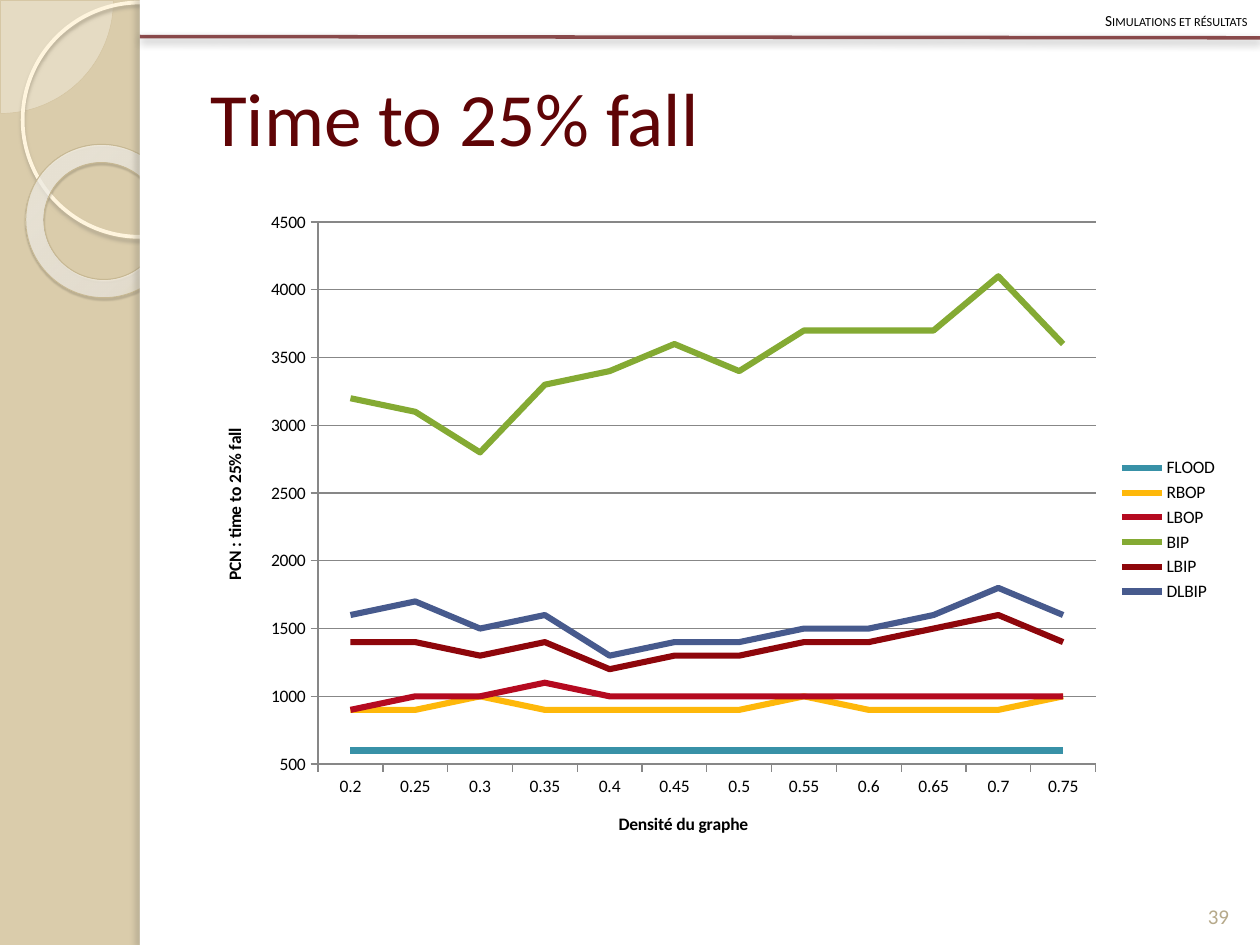
from typing import NamedTuple, Optional

from lxml import etree
from pptx import Presentation
from pptx import util as u
from pptx.chart.data import CategoryChartData
from pptx.dml.color import RGBColor
from pptx.enum import chart as charts, shapes, text
from pptx.oxml import parse_xml
from pptx.oxml.ns import qn

DRAWING = 'xmlns:a="http://schemas.openxmlformats.org/drawingml/2006/main"'
FONT = "Calibri"
GREY = "878787"
RING_STOPS = [(0, "FFFCF6", 70), (70, "FFFEFB", 55), (100, "F0D28E", 60)]


class Shadow(NamedTuple):
    color: str
    alpha: int
    blur: float
    distance: float
    angle: int


class Decoration(NamedTuple):
    kind: shapes.MSO_SHAPE
    box: tuple
    fill: Optional[str] = None
    line: Optional[str] = None
    width: float = 0
    shadow: Optional[Shadow] = None
    adjustments: tuple = ()
    rotation: float = 0


class Series(NamedTuple):
    name: str
    color: str
    values: list


PIE = Decoration(shapes.MSO_SHAPE.PIE, (-0.89, -0.89, 1.79, 1.79), "FEFAF4", "D3C39F", 0.25,
                 adjustments=(0, 54.02))
CIRCLE = Decoration(shapes.MSO_SHAPE.OVAL, (0.18, 0.02, 1.86, 1.86), None, "FFF5DE", 2.15,
                    Shadow("B0A68F", 85, 2, 2, 90))
RING = Decoration(shapes.MSO_SHAPE.DONUT, (0.2, 1.15, 1.23, 1.21), None, "C7B893", 0.58,
                  Shadow("5A5444", 35, 1, 1.2, 75), (0.12,), 38.6)
PAGE = Decoration(shapes.MSO_SHAPE.RECTANGLE, (1.11, 0, 8.89, 7.5), "FFFFFF")
EDGE = Decoration(shapes.MSO_SHAPE.RECTANGLE, (1.11, 0, 0.08, 7.5), "FFFFFF",
                  shadow=Shadow("736F63", 25, 3, 3, 180))

DENSITIES = ["0.2", "0.25", "0.3", "0.35", "0.4", "0.45",
             "0.5", "0.55", "0.6", "0.65", "0.7", "0.75"]
SERIES = [
    Series("FLOOD", "3891A7", [600] * len(DENSITIES)),
    Series("RBOP", "FEB80A", [900, 900, 1000, 900, 900, 900, 900, 1000, 900, 900, 900, 1000]),
    Series("LBOP", "B50A20", [900, 1000, 1000, 1100, 1000, 1000, 1000, 1000, 1000, 1000, 1000, 1000]),
    Series("BIP", "84AA33", [3200, 3100, 2800, 3300, 3400, 3600, 3400, 3700, 3700, 3700, 4100, 3600]),
    Series("LBIP", "8E060B", [1400, 1400, 1300, 1400, 1200, 1300, 1300, 1400, 1400, 1500, 1600, 1400]),
    Series("DLBIP", "475A8D", [1600, 1700, 1500, 1600, 1300, 1400, 1400, 1500, 1500, 1600, 1800, 1600]),
]


def rgb(color: str) -> RGBColor:
    return RGBColor.from_string(color)


def inches(box: tuple) -> list:
    return [u.Inches(value) for value in box]


def set_alpha(fill, percent: int) -> None:
    """Make a solid fill partly transparent."""
    color = fill._xPr.find(qn("a:solidFill"))[0]
    etree.SubElement(color, qn("a:alpha"), val=str(percent * 1000))


def add_shadow(shape, shadow: Optional[Shadow]) -> None:
    """Append the effect list; it stays empty when there is no shadow."""
    effect = ""
    if shadow:
        effect = (
            f'<a:outerShdw blurRad="{u.Pt(shadow.blur)}" dist="{u.Pt(shadow.distance)}" '
            f'dir="{shadow.angle * 60000}" algn="ctr" rotWithShape="0">'
            f'<a:srgbClr val="{shadow.color}"><a:alpha val="{shadow.alpha * 1000}"/></a:srgbClr>'
            f'</a:outerShdw>')
    shape._element.spPr.append(parse_xml(f"<a:effectLst {DRAWING}>{effect}</a:effectLst>"))


def add_decoration(slide, item: Decoration):
    shape = slide.shapes.add_shape(item.kind, *inches(item.box))
    shape.rotation = item.rotation
    for index, value in enumerate(item.adjustments):
        shape.adjustments[index] = value
    if item.fill:
        shape.fill.solid()
        shape.fill.fore_color.rgb = rgb(item.fill)
    else:
        shape.fill.background()
    if item.line:
        shape.line.color.rgb = rgb(item.line)
        shape.line.width = u.Pt(item.width)
    else:
        shape.line.fill.background()
    add_shadow(shape, item.shadow)
    return shape


def fill_ring(shape) -> None:
    """Give the ring a translucent circular gradient."""
    stops = "".join(
        f'<a:gs pos="{position * 1000}"><a:srgbClr val="{color}">'
        f'<a:alpha val="{alpha * 1000}"/></a:srgbClr></a:gs>'
        for position, color, alpha in RING_STOPS)
    gradient = parse_xml(
        f'<a:gradFill {DRAWING} rotWithShape="1"><a:gsLst>{stops}</a:gsLst><a:path path="circle">'
        f'<a:fillToRect l="-408000" t="-50000" r="508000" b="150000"/></a:path></a:gradFill>')
    properties = shape._element.spPr
    properties.replace(properties.find(qn("a:noFill")), gradient)


def add_rule(slide) -> None:
    rule = slide.shapes.add_connector(
        shapes.MSO_CONNECTOR.STRAIGHT, *inches((1.11, 0.29, 10, 0.3)))
    rule.line.color.rgb = rgb("5F0406")
    rule.line.width = u.Pt(2)
    set_alpha(rule.line.fill, 70)
    add_shadow(rule, Shadow("000000", 43, 5, 2, 90))


def add_text(slide, content: str, box: tuple, *, size: float, color: str,
             align=text.PP_ALIGN.LEFT, anchor=text.MSO_ANCHOR.MIDDLE,
             small_caps: bool = False, line_spacing: float = 1, space_before: float = 0) -> None:
    frame = slide.shapes.add_textbox(*inches(box)).text_frame
    frame.word_wrap = True
    frame.vertical_anchor = anchor
    paragraph = frame.paragraphs[0]
    paragraph.alignment = align
    paragraph.line_spacing = line_spacing
    paragraph.space_before = u.Pt(space_before)
    run = paragraph.add_run()
    run.text = content
    run.font.size = u.Pt(size)
    run.font.name = FONT
    run.font.color.rgb = rgb(color)
    if small_caps:
        run.font._element.set("cap", "small")


def format_axis(axis, title: str) -> None:
    axis.has_title = True
    axis.axis_title.text_frame.text = title
    font = axis.axis_title.text_frame.paragraphs[0].runs[0].font
    font.size, font.bold, font.name = u.Pt(10), True, FONT
    font.color.rgb = rgb("000000")
    axis.major_tick_mark = charts.XL_TICK_MARK.OUTSIDE
    axis.format.line.color.rgb = rgb(GREY)
    axis.format.line.width = u.Pt(0.75)


def add_line_chart(slide) -> None:
    data = CategoryChartData(number_format="General")
    data.categories = DENSITIES
    for series in SERIES:
        data.add_series(series.name, series.values)
    chart = slide.shapes.add_chart(
        charts.XL_CHART_TYPE.LINE, *inches((1.57, 1.58, 8.2, 5.25)), data).chart
    chart.has_title = False
    chart.font.size = u.Pt(10)
    chart.font.name = FONT
    chart.font.color.rgb = rgb("000000")
    chart.has_legend = True
    chart.legend.position = charts.XL_LEGEND_POSITION.RIGHT
    chart.legend.include_in_layout = False
    format_axis(chart.category_axis, "Densité du graphe")
    format_axis(chart.value_axis, "PCN : time to 25% fall")
    chart.value_axis.minimum_scale = 500
    chart.value_axis.maximum_scale = 4500
    chart.value_axis.major_unit = 500
    grid = chart.value_axis.major_gridlines.format.line
    grid.color.rgb = rgb(GREY)
    grid.width = u.Pt(0.75)
    plot = chart.plots[0]
    plot.vary_by_categories = False
    for line, series in zip(plot.series, SERIES):
        line.smooth = False
        line.marker.style = charts.XL_MARKER_STYLE.NONE
        line.format.line.color.rgb = rgb(series.color)
        line.format.line.width = u.Pt(3.5)


def main() -> None:
    presentation = Presentation()
    presentation.slide_width, presentation.slide_height = u.Inches(10), u.Inches(7.5)
    slide = presentation.slides.add_slide(presentation.slide_layouts[6])
    slide.background.fill.solid()
    slide.background.fill.fore_color.rgb = rgb("DACCAB")
    set_alpha(add_decoration(slide, PIE).fill, 33)
    add_decoration(slide, CIRCLE)
    fill_ring(add_decoration(slide, RING))
    add_decoration(slide, PAGE)
    add_decoration(slide, EDGE)
    add_rule(slide)
    add_text(slide, "Time to 25% fall", (1.57, 0.3, 8.2, 1.25), size=43, color="5F0406")
    add_text(slide, "Simulations et résultats", (0, 0, 10, 0.29), size=8.8, color="000000",
             align=text.PP_ALIGN.RIGHT, small_caps=True, line_spacing=1.2, space_before=6)
    add_text(slide, "39", (9.42, 6.9, 0.5, 0.52), size=12, color="B6A98A",
             align=text.PP_ALIGN.CENTER, anchor=text.MSO_ANCHOR.BOTTOM)
    add_line_chart(slide)
    presentation.save("out.pptx")


if __name__ == "__main__":
    main()
